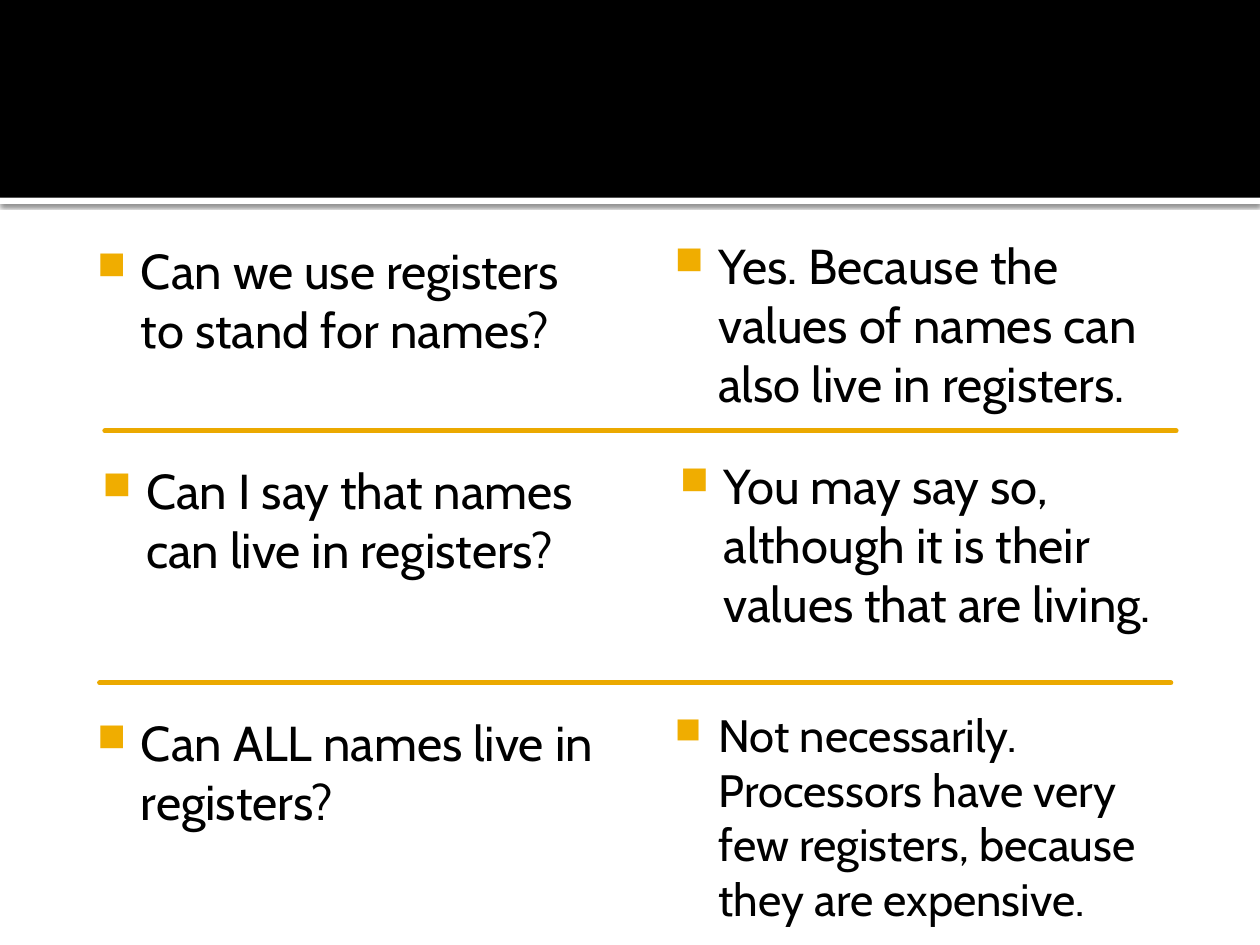
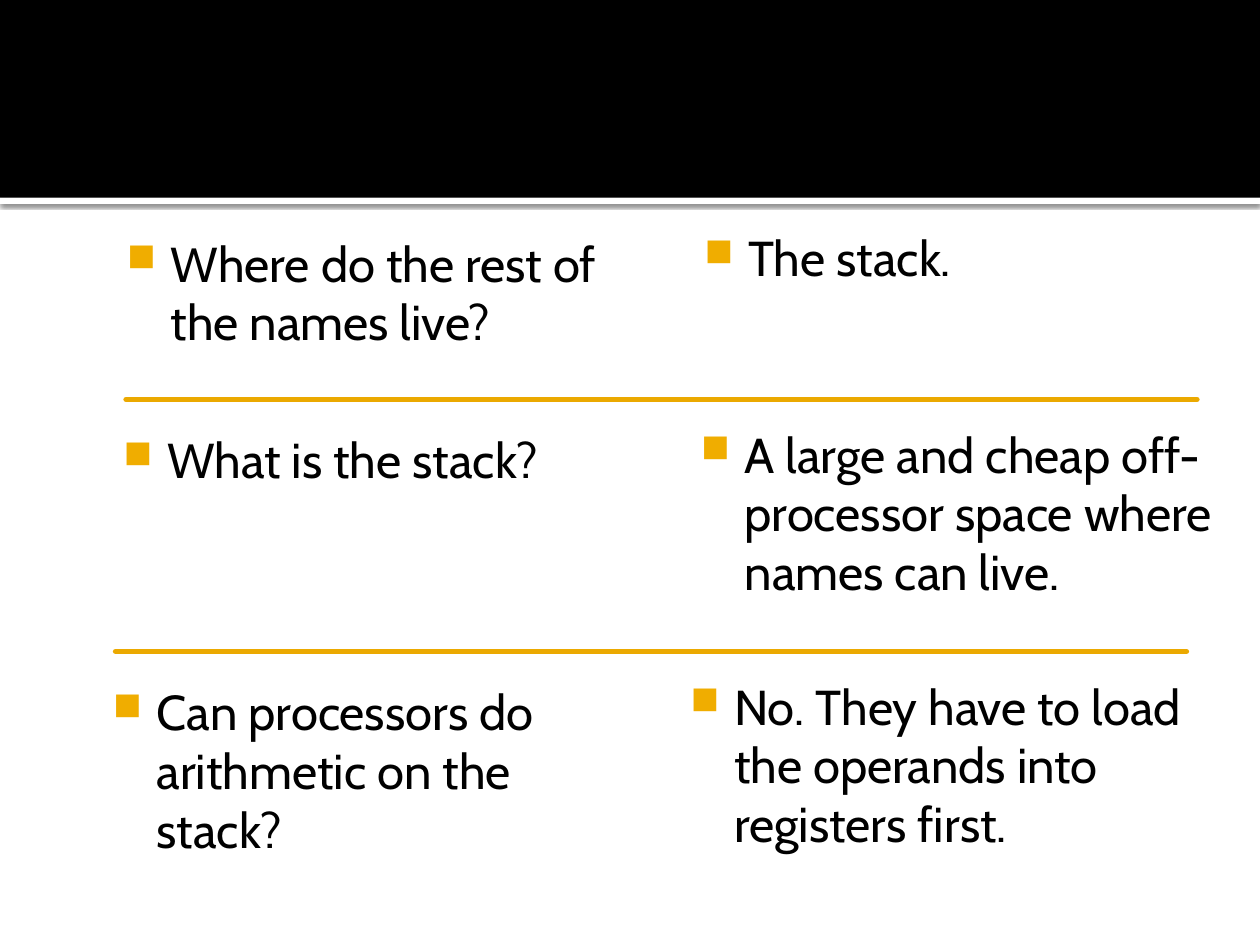
"""Build two question-and-answer slides about registers and the stack."""
from lxml import etree
from pptx import Presentation
from pptx.dml.color import RGBColor
from pptx.enum import shapes, text
from pptx.oxml import ns, parse_xml
from pptx.util import Pt

# (question left, question top, question, answer, answer size)
QUIZZES = [
    [
        (39, 130.3, "Can we use registers to stand for names?",
         "Yes. Because the values of names can also live in registers.", 28),
        (42, 256.2, "Can I say that names can live in registers?",
         "You may say so, although it is their values that are living.", 28),
        (39, 400.2, "Can ALL names live in registers?",
         "Not necessarily. Processors have very few registers, "
         "because they are expensive.", 25.9),
    ],
    [
        (56, 126, "Where do the rest of the names live?", "The stack.", 28),
        (54, 238.2, "What is the stack?",
         "A large and cheap off-processor space where names can live.", 28),
        (48, 382.2, "Can processors do arithmetic on the stack?",
         "No. They have to load the operands into registers first.", 28),
    ],
]

BLACK = RGBColor(0x00, 0x00, 0x00)
WHITE = RGBColor(0xFF, 0xFF, 0xFF)
AMBER = RGBColor(0xF0, 0xAD, 0x00)
RULE_AMBER = RGBColor(0xEB, 0xA9, 0x00)
FONT = "Cabin"

SLIDE_W, SLIDE_H = 720, 540
HEADER_H, STRIP_H = 113, 3.6
ENTRY_W, ENTRY_H = 318, 112.3
ANSWER_DX, ANSWER_DY = 330, -3
RULE_DX, RULE_DY, RULE_W = 18, -10, 612

STRIP_SHADOW = (
    f'<a:effectLst {ns.nsdecls("a")}>'
    f'<a:outerShdw blurRad="{Pt(2.5)}" dist="{Pt(0.8)}" dir="5400000" '
    f'algn="t" rotWithShape="0"><a:srgbClr val="{BLACK}">'
    '<a:alpha val="60000"/></a:srgbClr></a:outerShdw></a:effectLst>'
)


def add_band(slide, top, height, color):
    """Add a full-width band without outline or shadow."""
    band = slide.shapes.add_shape(shapes.MSO_SHAPE.RECTANGLE, 0, Pt(top),
                                  Pt(SLIDE_W), Pt(height))
    band.shadow.inherit = False
    band.fill.solid()
    band.fill.fore_color.rgb = color
    band.line.fill.background()
    return band


def add_header(slide, layout):
    """Make the header on a slide and move it to the shared layout."""
    strip = add_band(slide, HEADER_H, STRIP_H, WHITE)
    properties = strip.element.spPr
    properties.replace(properties.find(ns.qn("a:effectLst")),
                       parse_xml(STRIP_SHADOW))
    header = add_band(slide, 0, HEADER_H, BLACK)
    for band in (strip, header):
        layout.shapes.element.append(band.element)


def add_bullet(paragraph, color, percent):
    """Give a paragraph a hanging square bullet."""
    properties = paragraph._p.get_or_add_pPr()
    properties.set("marL", str(Pt(34.5)))
    properties.set("indent", str(Pt(-25)))
    bullet_color = etree.SubElement(properties, ns.qn("a:buClr"))
    etree.SubElement(bullet_color, ns.qn("a:srgbClr"), val=str(color))
    etree.SubElement(properties, ns.qn("a:buSzPct"), val=str(percent * 1000))
    etree.SubElement(properties, ns.qn("a:buChar"), char="■")


def add_entry(slide, words, left, top, size=28, color=BLACK):
    """Add one bulleted question or answer."""
    entry = slide.shapes.add_textbox(Pt(left), Pt(top), Pt(ENTRY_W), Pt(ENTRY_H))
    frame = entry.text_frame
    frame.word_wrap = True
    frame.auto_size = text.MSO_AUTO_SIZE.NONE
    frame.vertical_anchor = text.MSO_ANCHOR.TOP
    frame.margin_left = frame.margin_right = frame.margin_top = Pt(7.2)
    frame.margin_bottom = Pt(3.6)
    paragraph = frame.paragraphs[0]
    add_bullet(paragraph, AMBER, 80)
    run = paragraph.add_run()
    run.text = words
    run.font.name = FONT
    run.font.size = Pt(size)
    run.font.color.rgb = color


def add_rule(slide, left, top):
    """Add the round-ended line above a question."""
    rule = slide.shapes.add_connector(shapes.MSO_CONNECTOR.STRAIGHT, Pt(left),
                                      Pt(top), Pt(left + RULE_W), Pt(top))
    rule.line.color.rgb = RULE_AMBER
    rule.line.width = Pt(3)
    rule.line._get_or_add_ln().set("cap", "rnd")
    etree.SubElement(rule.element.spPr, ns.qn("a:effectLst"))


def main():
    """Build and save the presentation."""
    deck = Presentation()
    deck.slide_width, deck.slide_height = Pt(SLIDE_W), Pt(SLIDE_H)
    layout = deck.slide_layouts[6]
    for number, quiz in enumerate(QUIZZES):
        slide = deck.slides.add_slide(layout)
        if number == 0:
            add_header(slide, layout)
        for row, (left, top, question, answer, size) in enumerate(quiz):
            if row:
                add_rule(slide, left + RULE_DX, top + RULE_DY)
            add_entry(slide, question, left, top)
            add_entry(slide, answer, left + ANSWER_DX, top + ANSWER_DY, size=size)
    deck.save("out.pptx")


if __name__ == "__main__":
    main()
